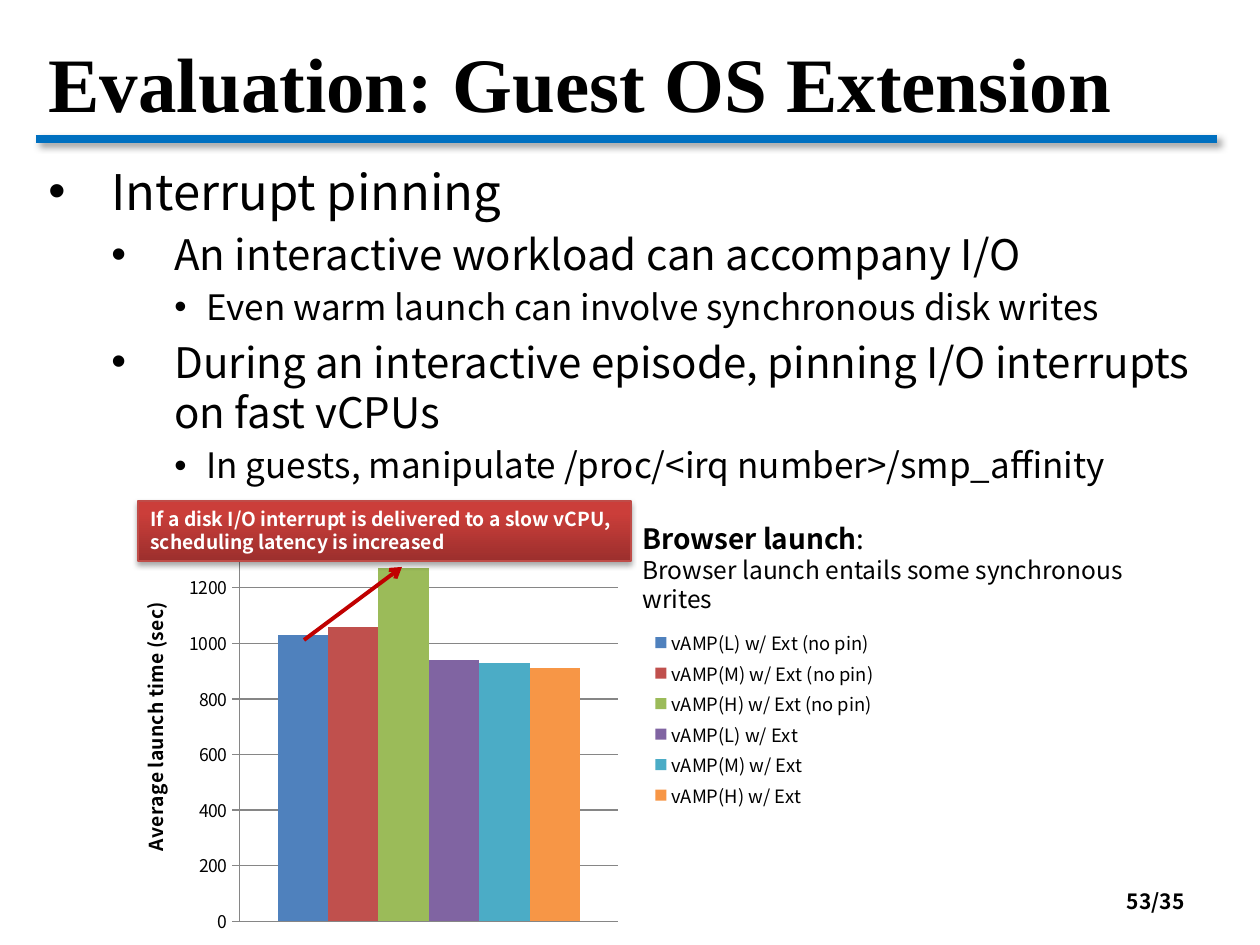
from lxml.etree import SubElement
from pptx import Presentation
from pptx.chart.data import CategoryChartData
from pptx.dml.color import RGBColor
from pptx.enum.chart import XL_CHART_TYPE, XL_LEGEND_POSITION, XL_TICK_LABEL_POSITION, XL_TICK_MARK
from pptx.enum.shapes import MSO_CONNECTOR, MSO_SHAPE
from pptx.enum.text import MSO_ANCHOR, MSO_AUTO_SIZE, PP_ALIGN
from pptx.oxml import parse_xml
from pptx.oxml.ns import nsdecls, qn
from pptx.util import Emu, Pt

SCALE = 914400 // 126
BODY_FONT = "Noto Sans CJK KR"
COLORS = {
    "black": "000000", "white": "FFFFFF", "rule": "0070C0", "grid": "868686",
    "arrow": "C00000", "callout_dark": "9C2F2D", "callout_light": "CB3E3A", "callout_line": "BF4C48",
}
TITLE = "Evaluation: Guest OS Extension"
BULLETS = [
    (0, "Interrupt pinning"),
    (1, "An interactive workload can accompany I/O"),
    (2, "Even warm launch can involve synchronous disk writes"),
    (1, "During an interactive episode, pinning I/O interrupts on fast vCPUs"),
    (2, "In guests, manipulate /proc/<irq number>/smp_affinity"),
]
LEVELS = [(28, 63, 63), (24, 126, 63), (20, 158, 32)]
LAUNCH_TIMES = [
    ("vAMP(L) w/ Ext (no pin)", 1030, "4F81BD"),
    ("vAMP(M) w/ Ext (no pin)", 1060, "C0504D"),
    ("vAMP(H) w/ Ext (no pin)", 1270, "9BBB59"),
    ("vAMP(L) w/ Ext", 940, "8064A2"),
    ("vAMP(M) w/ Ext", 930, "4BACC6"),
    ("vAMP(H) w/ Ext", 910, "F79646"),
]
AXIS_TITLE = "Average launch time (sec)"
NOTE = [
    [("Browser launch", {"size": 16, "bold": True}), (":", {"size": 16})],
    [("Browser launch entails some synchronous writes", {"size": 14})],
]
CALLOUT_FORMAT = {"size": 11, "bold": True, "color": "white"}
CALLOUT = [
    [("If a disk I/O interrupt is delivered to a slow vCPU,", CALLOUT_FORMAT)],
    [("scheduling latency is increased", CALLOUT_FORMAT)],
]
PAGE = [[("53/35", {"size": 12, "bold": True})]]


def px(*lengths):
    return [Emu(length * SCALE) for length in lengths]


def rgb(name):
    return RGBColor.from_string(COLORS.get(name, name))


def set_font(font, **formats):
    values = {"name": BODY_FONT, "bold": False, "color": "black", **formats}
    font.color.rgb = rgb(values.pop("color"))
    values["size"] = Pt(values["size"])
    for key, value in values.items():
        setattr(font, key, value)


def fill_text(shape, lines, anchor=MSO_ANCHOR.TOP, align=PP_ALIGN.LEFT):
    frame = shape.text_frame
    formats = {"word_wrap": True, "auto_size": MSO_AUTO_SIZE.NONE, "vertical_anchor": anchor}
    for key, value in formats.items():
        setattr(frame, key, value)
    for index, line in enumerate(lines):
        paragraph = frame.add_paragraph() if index else frame.paragraphs[0]
        paragraph.alignment = align
        for text, run_format in line:
            run = paragraph.add_run()
            run.text = text
            set_font(run.font, **run_format)
    return frame.paragraphs


def set_effects(shape, shadow=None):
    properties = shape._element.spPr
    for old in properties.findall(qn("a:effectLst")):
        properties.remove(old)
    effects = SubElement(properties, qn("a:effectLst"))
    if shadow:
        alpha, blur, distance, angle = shadow
        outer = SubElement(effects, qn("a:outerShdw"), blurRad=str(Pt(blur)), dist=str(Pt(distance)),
                           dir=str(angle * 60000), algn="tl", rotWithShape="0")
        color = SubElement(outer, qn("a:srgbClr"), val=COLORS["black"])
        SubElement(color, qn("a:alpha"), val=str(alpha * 1000))


def add_line(slide, ends, color, width, shadow=None):
    line = slide.shapes.add_connector(MSO_CONNECTOR.STRAIGHT, *px(*ends))
    line.line.color.rgb = rgb(color)
    line.line.width = Pt(width)
    set_effects(line, shadow)
    return line


def add_title(slide):
    title = slide.shapes.title
    for key, value in zip(("left", "top", "width", "height"), px(36, 18, 1181, 127)):
        setattr(title, key, value)
    title_format = {"size": 44, "bold": True, "name": "Times New Roman"}
    fill_text(title, [[(TITLE, title_format)]], MSO_ANCHOR.MIDDLE)


def add_bullets(slide):
    body = slide.shapes.add_textbox(*px(36, 155, 1181, 694))
    lines = [[(text, {"size": LEVELS[level][0]})] for level, text in BULLETS]
    for paragraph, (level, _) in zip(fill_text(body, lines), BULLETS):
        size, margin, hanging = LEVELS[level]
        paragraph.level = level
        paragraph.space_before = Pt(size * 0.2)
        properties = paragraph._p.get_or_add_pPr()
        properties.set("marL", str(margin * SCALE))
        properties.set("indent", str(-hanging * SCALE))
        SubElement(properties, qn("a:buFont"), typeface="Arial")
        SubElement(properties, qn("a:buChar"), char="•")


def place(parent, position, target=None):
    inner = f'<c:layoutTarget val="{target}"/>' if target else ""
    modes = "".join(f'<c:{axis}Mode val="edge"/>' for axis in "xy")
    sizes = "".join(f'<c:{key} val="{value}"/>' for key, value in zip("xywh", position))
    for old in parent.findall(qn("c:layout")):
        parent.remove(old)
    return parse_xml(f'<c:layout {nsdecls("c")}><c:manualLayout>{inner}{modes}{sizes}</c:manualLayout></c:layout>')


def add_launch_chart(slide):
    data = CategoryChartData()
    data.categories = ["1"]
    for name, value, _ in LAUNCH_TIMES:
        data.add_series(name, [value])
    frame = slide.shapes.add_chart(XL_CHART_TYPE.COLUMN_CLUSTERED, *px(123, 496, 764, 446), data)
    chart = frame.chart
    set_font(chart.font, size=10)
    chart.has_title = False
    plot = chart.plots[0]
    for key, value in {"gap_width": 150, "overlap": 0, "vary_by_categories": False}.items():
        setattr(plot, key, value)
    for series, (_, _, color) in zip(plot.series, LAUNCH_TIMES):
        series.format.fill.solid()
        series.format.fill.fore_color.rgb = rgb(color)

    axis = chart.value_axis
    formats = {"minimum_scale": 0, "maximum_scale": 1400, "major_unit": 200,
               "has_major_gridlines": True, "major_tick_mark": XL_TICK_MARK.OUTSIDE}
    for key, value in formats.items():
        setattr(axis, key, value)
    axis.axis_title.text_frame.text = AXIS_TITLE
    set_font(axis.axis_title.text_frame.paragraphs[0].runs[0].font, size=11, bold=True)
    category = chart.category_axis
    category.tick_label_position = XL_TICK_LABEL_POSITION.NONE
    category.major_tick_mark = XL_TICK_MARK.NONE
    for part in (axis, axis.major_gridlines, category):
        part.format.line.color.rgb = rgb("grid")
        part.format.line.width = Pt(0.75)

    chart.has_legend = True
    legend = chart.legend
    legend.position = XL_LEGEND_POSITION.RIGHT
    legend.include_in_layout = False
    set_font(legend.font, size=10.5)
    legend_xml = legend._element
    legend_xml.insert(1, place(legend_xml, (0.69, 0.29, 0.3, 0.42)))
    plot_area = chart._chartSpace.chart.plotArea
    plot_area.insert(0, place(plot_area, (0.153, 0.081, 0.495, 0.873), "inner"))


def add_callout(slide):
    callout = slide.shapes.add_shape(MSO_SHAPE.RECTANGLE, *px(138, 501, 493, 60))
    callout.fill.gradient()
    callout.fill.gradient_angle = 90
    stops = [(0, "callout_dark"), (0.8, "callout_light")]
    for stop, (position, color) in zip(callout.fill.gradient_stops, stops):
        stop.position = position
        stop.color.rgb = rgb(color)
    callout.line.color.rgb = rgb("callout_line")
    callout.line.width = Pt(0.75)
    set_effects(callout, (35, 3.1, 1.8, 90))
    fill_text(callout, CALLOUT)


def build():
    """Build the interrupt pinning slide."""
    presentation = Presentation()
    presentation.slide_width, presentation.slide_height = px(1260, 945)
    slide = presentation.slides.add_slide(presentation.slide_layouts[5])
    add_line(slide, (36, 139, 1217, 139), "rule", 4.5, (40, 4, 3, 45))
    add_title(slide)
    add_bullets(slide)
    fill_text(slide.shapes.add_textbox(*px(903, 876, 294, 50)), PAGE, MSO_ANCHOR.MIDDLE, PP_ALIGN.RIGHT)
    add_launch_chart(slide)
    fill_text(slide.shapes.add_textbox(*px(630, 515, 571, 77)), NOTE)
    add_callout(slide)
    arrow = add_line(slide, (304, 640, 402, 567), "arrow", 2.25)
    SubElement(arrow.line._get_or_add_ln(), qn("a:tailEnd"), type="arrow")
    presentation.save("out.pptx")


build()
